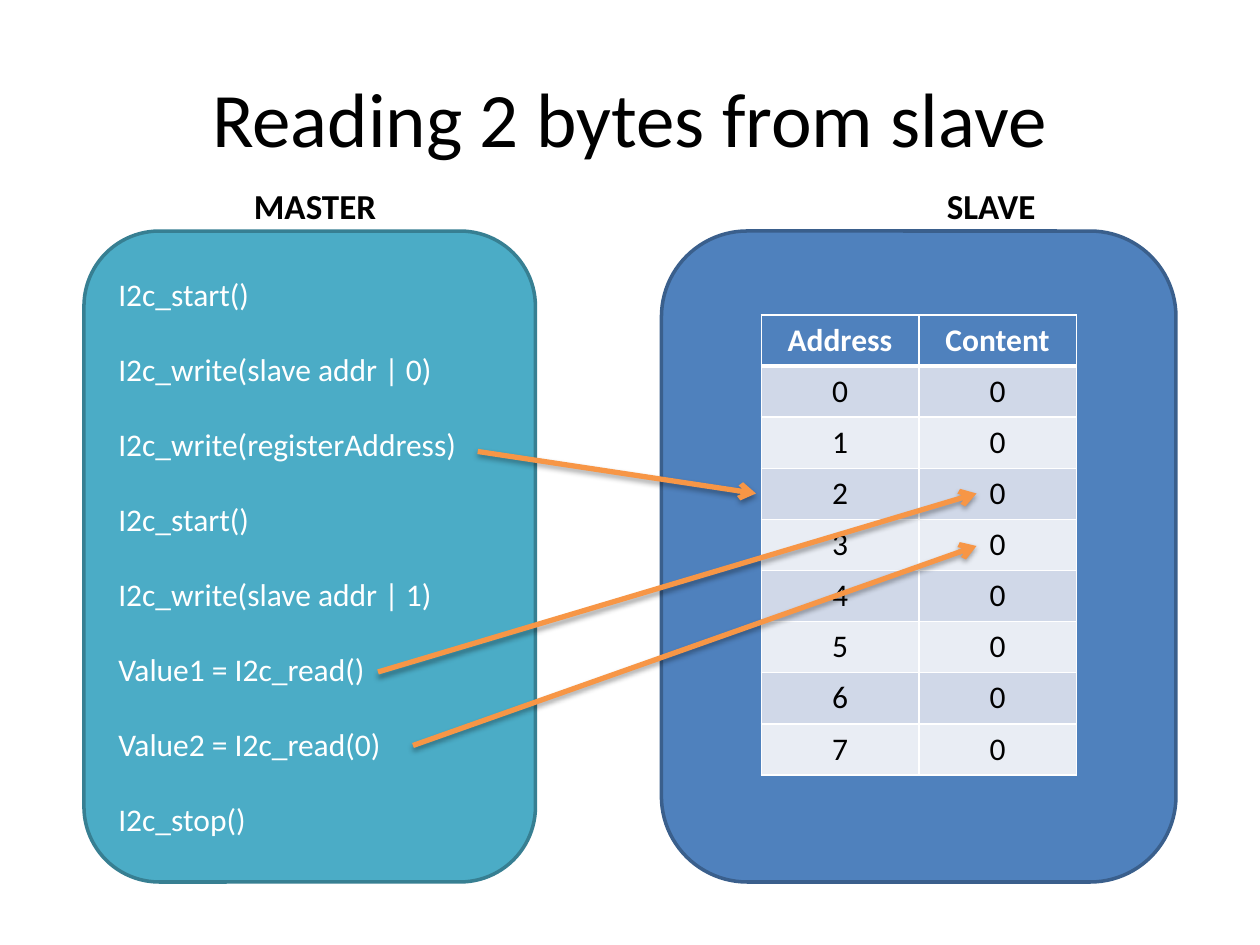
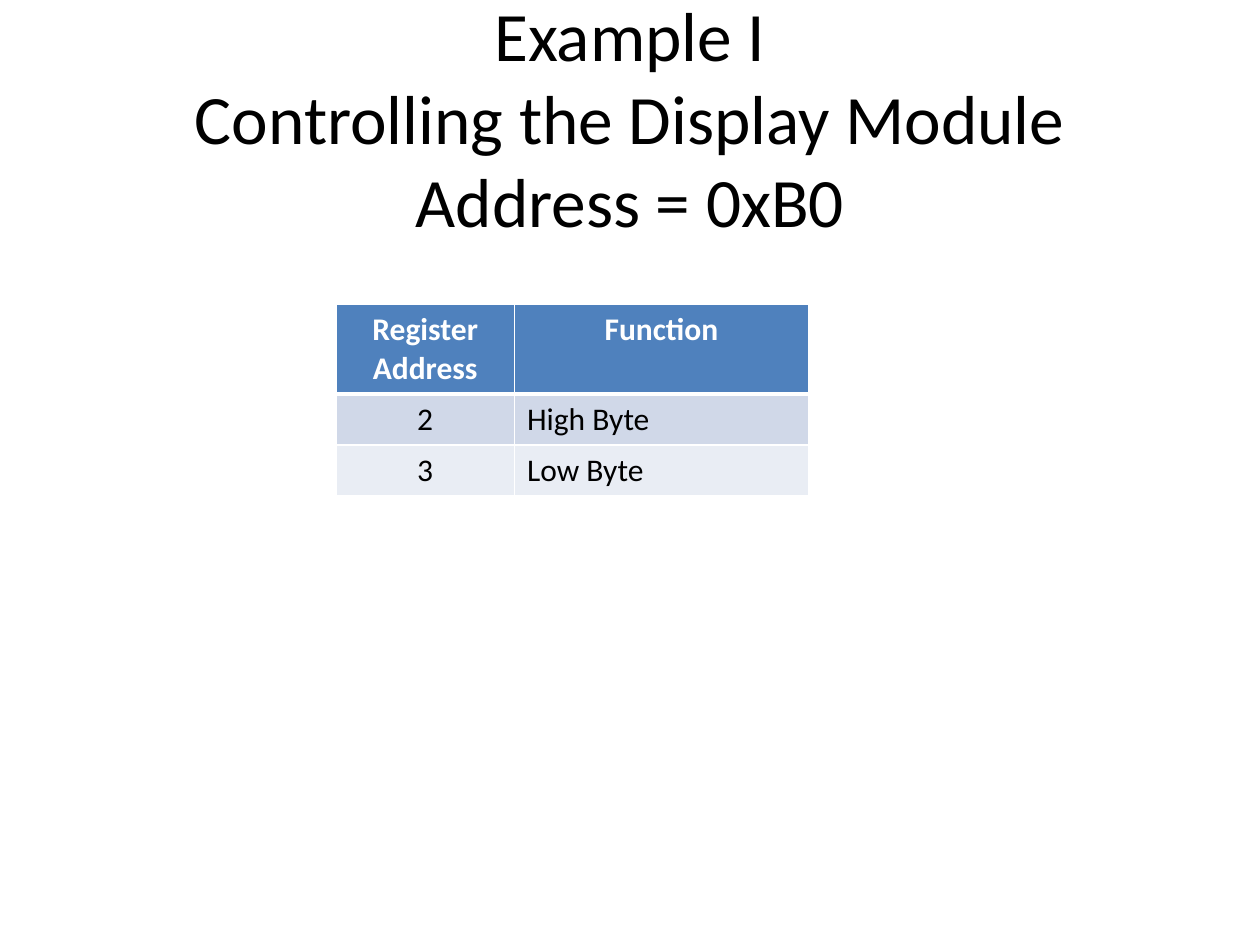
from dataclasses import dataclass
from lxml.etree import fromstring
from pptx import Presentation
from pptx.dml.color import RGBColor
from pptx.enum.shapes import MSO_CONNECTOR, MSO_SHAPE
from pptx.enum.text import MSO_ANCHOR, MSO_AUTO_SIZE, PP_ALIGN
from pptx.oxml.ns import nsdecls, qn
from pptx.util import Pt


@dataclass(frozen=True)
class Theme:
    """Colours, font and type sizes shared by the slides."""
    font: str = "Calibri"
    title: float = 44
    long_title: float = 39.6
    label: float = 20
    body: float = 18
    black: str = "000000"
    white: str = "FFFFFF"
    master: str = "4BACC6"
    master_line: str = "377F92"
    slave: str = "4F81BD"
    slave_line: str = "3A5F8C"
    arrow: str = "F79646"
    bands: tuple = ("D0D8E8", "E9EDF4")


T = Theme()
ROW_H = 29.2


def rgb(color):
    """Return an RGBColor for a hex string."""
    return RGBColor.from_string(color)


def write(tf, text, size=T.body, color=T.black, bold=False, align=PP_ALIGN.LEFT, gap=0):
    """Fill a text frame, one paragraph per line, with gap between paragraphs."""
    tf.text = text
    for i, p in enumerate(tf.paragraphs):
        p.alignment = align
        if gap and i:
            p.space_before = Pt(gap)
        for r in p.runs:
            f = r.font
            f.name, f.size, f.bold = T.font, Pt(size), bold
            f.color.rgb = rgb(color)


def add_slide(prs, title, size=T.title):
    """Add a title-only slide with its title."""
    s = prs.slides.add_slide(prs.slide_layouts[5])
    sp = s.shapes.title
    sp.left, sp.top, sp.width, sp.height = Pt(36), Pt(21.6), Pt(648), Pt(90)
    tf = sp.text_frame
    write(tf, title, size=size, align=PP_ALIGN.CENTER)
    tf.auto_size = MSO_AUTO_SIZE.NONE
    tf.vertical_anchor = MSO_ANCHOR.MIDDLE
    return s


def add_panel(s, x, w, fill, line, text=""):
    """Add a rounded device panel, with optional code lines."""
    sp = s.shapes.add_shape(MSO_SHAPE.ROUNDED_RECTANGLE, Pt(x), Pt(132), Pt(w), Pt(372))
    sp.shadow.inherit = False
    sp.fill.solid()
    sp.fill.fore_color.rgb = rgb(fill)
    sp.line.color.rgb = rgb(line)
    sp.line.width = Pt(2)
    if text:
        write(sp.text_frame, text, color=T.white, gap=21.3)


def add_label(s, text, x, w):
    """Add a bold device name above a panel."""
    tf = s.shapes.add_textbox(Pt(x), Pt(102), Pt(w), Pt(31.5)).text_frame
    tf.word_wrap = False
    write(tf, text, size=T.label, bold=True)


def add_arrow(s, x1, y1, x2, y2):
    """Add an arrow with a soft shadow."""
    cx = s.shapes.add_connector(MSO_CONNECTOR.STRAIGHT, Pt(x1), Pt(y1), Pt(x2), Pt(y2))
    cx.line.color.rgb = rgb(T.arrow)
    cx.line.width = Pt(3)
    spPr = cx.element.spPr
    spPr.find(qn("a:ln")).append(fromstring(f'<a:tailEnd {nsdecls("a")} type="arrow"/>'))
    spPr.append(fromstring(
        f'<a:effectLst {nsdecls("a")}><a:outerShdw blurRad="{Pt(3.1)}" dist="{Pt(1.8)}" '
        f'dir="5400000" rotWithShape="0"><a:srgbClr val="{T.black}"><a:alpha val="35000"/>'
        '</a:srgbClr></a:outerShdw></a:effectLst>'))


def set_borders(cell, top, bottom):
    """Give a cell white borders of the given top and bottom widths."""
    tcPr = cell._tc.get_or_add_tcPr()
    for i, (side, w) in enumerate(zip("LRTB", (1, 1, top, bottom))):
        tcPr.insert(i, fromstring(
            f'<a:ln{side} {nsdecls("a")} w="{Pt(w)}"><a:solidFill>'
            f'<a:srgbClr val="{T.white}"/></a:solidFill></a:ln{side}>'))


def add_grid(s, x, y, widths, rows, header_h=ROW_H, aligns=(PP_ALIGN.CENTER,) * 2):
    """Add a banded table whose first row is the header."""
    height = header_h + ROW_H * (len(rows) - 1)
    tbl = s.shapes.add_table(len(rows), len(widths), Pt(x), Pt(y),
                             Pt(sum(widths)), Pt(height)).table
    for col, w in zip(tbl.columns, widths):
        col.width = Pt(w)
    for i, row in enumerate(rows):
        head = i == 0
        tbl.rows[i].height = Pt(header_h if head else ROW_H)
        for j, value in enumerate(row):
            cell = tbl.cell(i, j)
            cell.fill.solid()
            cell.fill.fore_color.rgb = rgb(T.slave if head else T.bands[(i - 1) % 2])
            set_borders(cell, 3 if i == 1 else 1, 3 if head else 1)
            write(cell.text_frame, value, color=T.white if head else T.black, bold=head,
                  align=PP_ALIGN.CENTER if head else aligns[j])


def add_reading(prs):
    """Build the slide on reading two bytes."""
    s = add_slide(prs, "Reading 2 bytes from slave")
    code = ("I2c_start()", "I2c_write(slave addr | 0)", "I2c_write(registerAddress)",
            "I2c_start()", "I2c_write(slave addr | 1)", "Value1 = I2c_read()",
            "Value2 = I2c_read(0)", "I2c_stop()")
    add_panel(s, 48, 258, T.master, T.master_line, "\n".join(code))
    add_panel(s, 378, 294, T.slave, T.slave_line)
    add_label(s, "MASTER", 138, 85)
    add_label(s, "SLAVE", 534, 65.5)
    registers = [("Address", "Content")] + [(str(n), "0") for n in range(8)]
    add_grid(s, 435, 180, (90, 90), registers)
    for ends in ((273, 258, 432, 282), (216, 384, 558, 282), (236, 426, 558, 312)):
        add_arrow(s, *ends)


def add_example(prs):
    """Build the slide on the display module."""
    s = add_slide(prs, "Example I\vControlling the Display Module\vAddress = 0xB0",
                  size=T.long_title)
    registers = [("Register Address", "Function"), ("2", "High Byte"), ("3", "Low Byte")]
    add_grid(s, 192, 174, (102, 168), registers, header_h=50.4,
             aligns=(PP_ALIGN.CENTER, PP_ALIGN.LEFT))


def main():
    """Build and save the presentation."""
    prs = Presentation()
    prs.slide_width, prs.slide_height = Pt(720), Pt(540)
    add_reading(prs)
    add_example(prs)
    prs.save("out.pptx")


if __name__ == "__main__":
    main()
